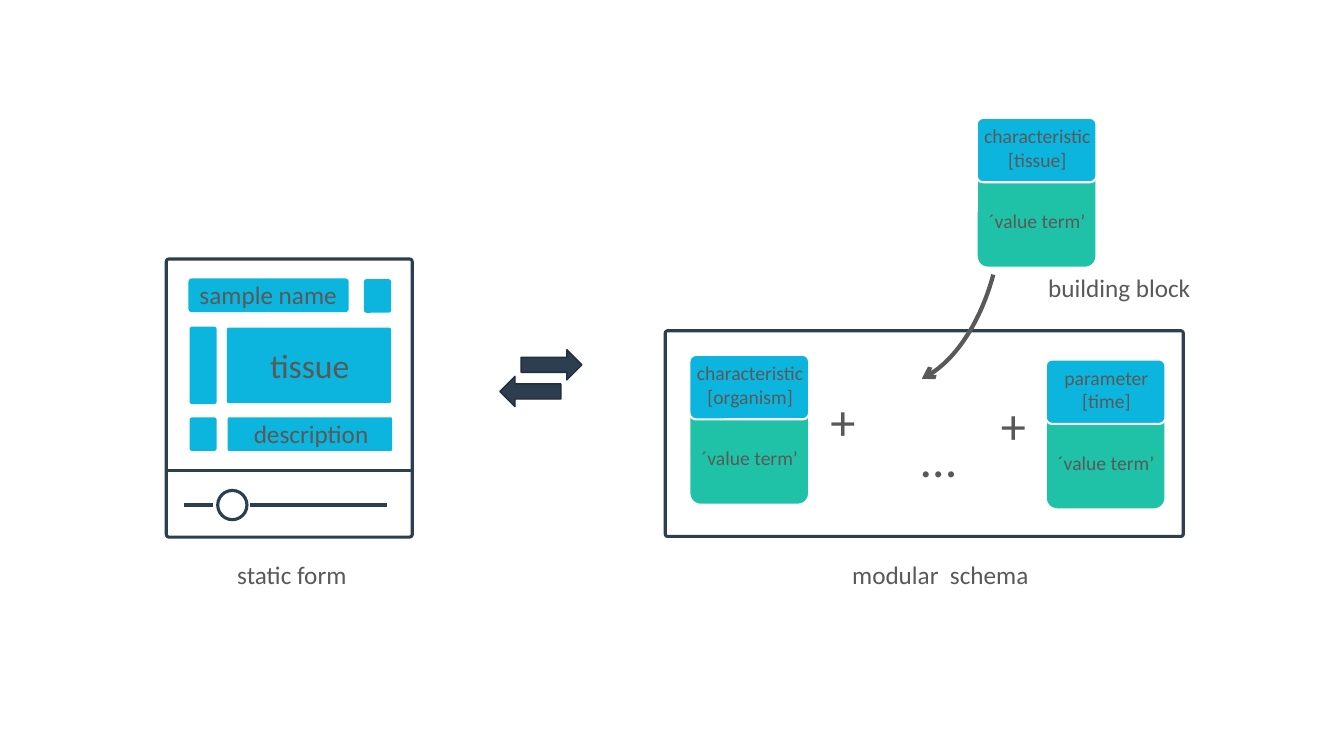
from lxml import etree
from pptx import Presentation
from pptx import util as u
from pptx.dml.color import RGBColor
from pptx.enum import shapes, text
from pptx.oxml import ns

COLORS = {
    "navy": "2D3E50",
    "navy_edge": "212E3B",
    "blue": "0BB5DD",
    "green": "1FC2A7",
    "gray": "595959",
    "white": "FFFFFF",
}
FONT = "Calibri"
KIND = shapes.MSO_SHAPE


def color(name):
    return RGBColor.from_string(COLORS[name])


def add_box(slide, kind, x, y, w, h, fill=None, line=None, weight=2.25,
            adjust=(), rotation=0):
    box = slide.shapes.add_shape(kind, u.Pt(x), u.Pt(y), u.Pt(w), u.Pt(h))
    box.shadow.inherit = False
    box.rotation = rotation
    for index, value in enumerate(adjust):
        box.adjustments[index] = value
    if fill:
        box.fill.solid()
        box.fill.fore_color.rgb = color(fill)
    else:
        box.fill.background()
    if line:
        box.line.color.rgb = color(line)
        box.line.width = u.Pt(weight)
    else:
        box.line.fill.background()
    return box


def add_rule(slide, x1, x2, y):
    rule = slide.shapes.add_connector(
        shapes.MSO_CONNECTOR.STRAIGHT, u.Pt(x1), u.Pt(y), u.Pt(x2), u.Pt(y))
    rule.line.color.rgb = color("navy")
    rule.line.width = u.Pt(2.25)
    etree.SubElement(rule._element.spPr, ns.qn("a:effectLst"))


def add_text(slide, words, x, y, w, h, size=18, center=False, wrap=True):
    label = slide.shapes.add_textbox(u.Pt(x), u.Pt(y), u.Pt(w), u.Pt(h))
    frame = label.text_frame
    frame.word_wrap = wrap
    frame.auto_size = text.MSO_AUTO_SIZE.SHAPE_TO_FIT_TEXT
    paragraph = frame.paragraphs[0]
    paragraph.text = words
    paragraph.alignment = text.PP_ALIGN.CENTER if center else text.PP_ALIGN.LEFT
    for run in paragraph.runs:
        run.font.name = FONT
        run.font.size = u.Pt(size)
        run.font.color.rgb = color("gray")


def add_building_block(slide, x, y, heading):
    for dy, height, fill in ((25, 82, "green"), (0, 46, "blue")):
        add_box(slide, KIND.ROUNDED_RECTANGLE, x, y + dy, 85.5, height,
                fill=fill, line="white", weight=1.5, adjust=[0.097])
    add_text(slide, heading, x - 6, y + 1, 98.6, 41, size=14, center=True)
    add_text(slide, "´value term’", x - 2.2, y + 61.5, 90.7, 24.5,
             size=14, center=True)


def add_static_form(slide):
    add_box(slide, KIND.ROUNDED_RECTANGLE, 118.8, 185, 175.7, 198.7,
            line="navy", adjust=[0.011])

    # Form fields
    fields = (
        (134.6, 198.9, 114.5, 24, 0.097),
        (260, 199.4, 19.4, 24, 0.097),
        (135.4, 233.3, 19.4, 55.4, 0.097),
        (162, 234, 117.4, 54, 0.029),
        (135.4, 298.1, 19.4, 24, 0.097),
        (162.7, 298.1, 117.4, 24, 0.045),
    )
    for x, y, w, h, corner in fields:
        add_box(slide, KIND.ROUNDED_RECTANGLE, x, y, w, h, fill="blue",
                adjust=[corner])
    add_text(slide, "sample name", 135.4, 196, 113.8, 29, wrap=False)
    add_text(slide, "tissue", 185.8, 242.6, 72, 36, size=24, wrap=False)
    add_text(slide, "description", 174.2, 295.2, 97.2, 29, wrap=False)

    # Divider and slider
    add_rule(slide, 118, 296, 336.2)
    add_rule(slide, 131.8, 152, 360.7)
    add_rule(slide, 178.6, 276.5, 360.7)
    add_box(slide, KIND.OVAL, 155.5, 350.3, 20.9, 20.9, line="navy")
    add_text(slide, "static form", 157.7, 396, 101.5, 29, center=True)


def add_exchange_arrows(slide):
    for x, y, rotation in ((372.2, 249.8, 0), (357.1, 268.8, 180)):
        add_box(slide, KIND.RIGHT_ARROW, x, y, 43.5, 21.6, fill="navy",
                line="navy_edge", weight=1, rotation=rotation)


def add_modular_schema(slide):
    add_box(slide, KIND.ROUNDED_RECTANGLE, 475.2, 236.3, 370, 146.9,
            line="navy", adjust=[0.011])
    add_building_block(slide, 492.5, 253.5, "characteristic\v[organism]")
    add_building_block(slide, 747, 256.8, "parameter\v[time]")
    for sign, x, y, w in (("+", 586.1, 275, 32.4), ("+", 707.8, 278, 32.4),
                          ("…", 650.9, 301.7, 39.6)):
        add_text(slide, sign, x, y, w, 51, size=36, wrap=False)
    add_text(slide, "modular  schema", 599, 396, 145.4, 29, center=True)

    # Block being inserted
    add_building_block(slide, 697.7, 84.2, "characteristic\v[tissue]")
    add_text(slide, "building block", 741.6, 190.8, 145.4, 29)
    insert_arc = add_box(slide, KIND.ARC, 552.2, 115.2, 204.5, 117.4,
                         line="gray", weight=3, adjust=[168.33, 207.7],
                         rotation=101.5)
    etree.SubElement(insert_arc.line._get_or_add_ln(), ns.qn("a:tailEnd"),
                     type="arrow")


def main():
    deck = Presentation()
    deck.slide_width = u.Pt(960)
    deck.slide_height = u.Pt(540)
    slide = deck.slides.add_slide(deck.slide_layouts[6])
    add_static_form(slide)
    add_exchange_arrows(slide)
    add_modular_schema(slide)
    deck.save("out.pptx")


if __name__ == "__main__":
    main()
